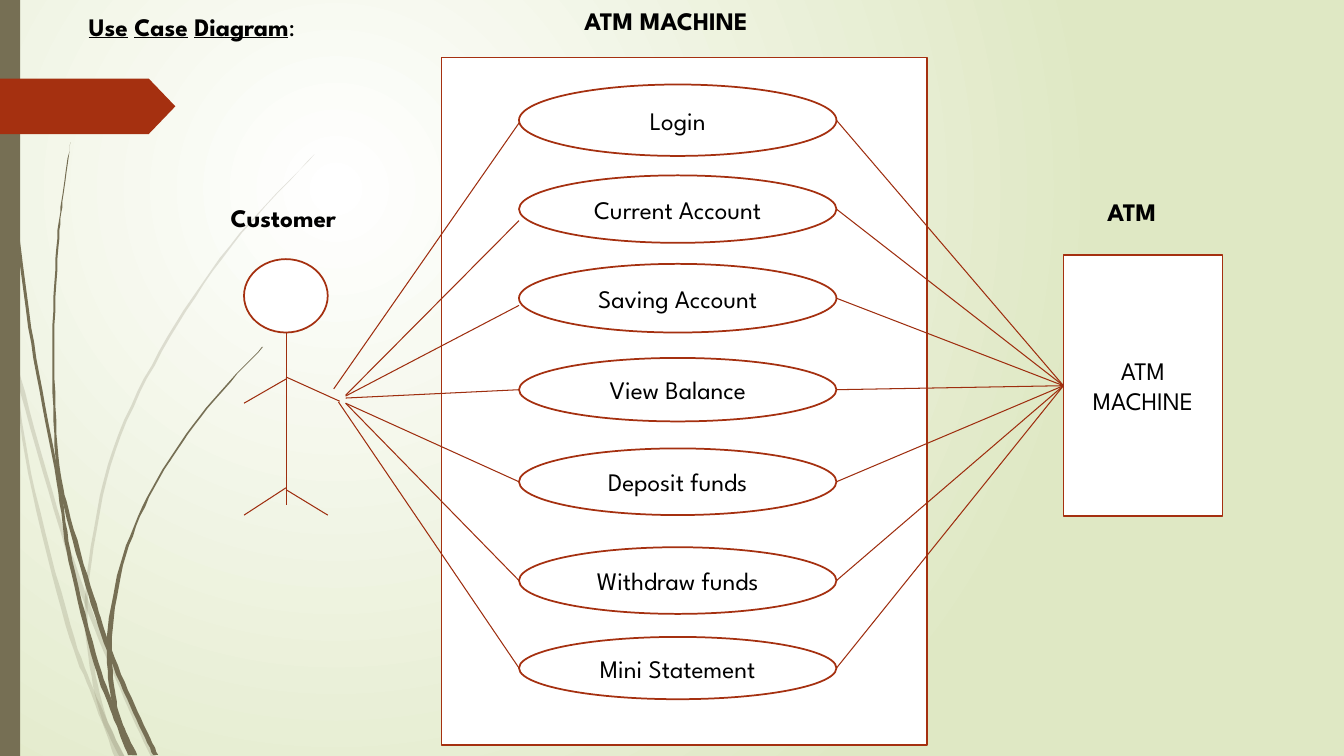
"""Build the use case diagram slide of a cash machine."""
from lxml import etree
from pptx import Presentation, util as u
from pptx.dml.color import RGBColor
from pptx.enum import shapes, text
from pptx.oxml.ns import qn

WHITE, BLACK = RGBColor(255, 255, 255), RGBColor(0, 0, 0)
GREEN, OLIVE = RGBColor(0xDF, 0xE8, 0xC4), RGBColor(0x76, 0x6F, 0x54)
RUST, WIRE = RGBColor(0xA5, 0x30, 0x10), RGBColor(0x9E, 0x2E, 0x0F)
FONT = {"name": "League Spartan", "size": u.Pt(18), "bold": False}
FRAME = {"word_wrap": True, "vertical_anchor": text.MSO_ANCHOR.TOP,
         "auto_size": text.MSO_AUTO_SIZE.NONE}
KIND = shapes.MSO_SHAPE
LEFT, MID = text.PP_ALIGN.LEFT, text.PP_ALIGN.CENTER

TITLE = [("Use", True), (" ", False), ("Case", True), (" ", False),
         ("Diagram", True), (":", False)]
LABELS = [("ATM MACHINE", (14.48, 0, 6.12, 1.04)),
          ("Customer", (5.56, 4.98, 4.34, 1.02)),
          ("ATM", (27.66, 4.83, 2.79, 1.02))]
# name, top, height, hand x, hand y, drop of the left end below the middle
CASES = [("Login", 2.13, 1.8, 8.41, 9.8, 0.07),
         ("Current Account", 4.42, 1.7, 8.71, 9.96, 0.29),
         ("Saving Account", 6.65, 1.73, 8.71, 9.98, 0.18),
         ("View Balance", 9.02, 1.6, 8.71, 10.03, 0),
         ("Deposit funds", 11.3, 1.68, 8.71, 10.16, 0),
         ("Withdraw funds", 13.79, 1.68, 8.71, 10.16, 0),
         ("Mini Statement", 16.05, 1.57, 8.53, 10.13, 0)]
CASE_X, CASE_W = 13.08, 8
SYSTEM = (11.13, 1.45, 12.24, 17.32)
ATM = (26.8, 6.43, 4.01, 6.58)
HEAD = (6.15, 6.53, 2.11, 1.85)
LIMBS = [(7.21, 8.38, 7.21, 12.73), (7.21, 9.5, 8.56, 10.11),
         (7.21, 9.55, 6.15, 10.16), (7.21, 12.34, 8.26, 12.98),
         (7.21, 12.29, 6.15, 12.98)]
PALE = [
    [(290, -2, 2), (347, 10, 12), (470, 28, 31), (620, 65, 70),
     (692, 92, 96), (751, 114, 124)],
    [(345, 14, 14), (376, 17, 21), (521, 58, 62), (599, 84, 89),
     (693, 123, 127), (751, 150, 155)],
    [(153, 312, 312), (244, 228, 230), (348, 158, 161), (461, 107, 110),
     (584, 85, 88), (646, 87, 91), (710, 100, 105), (751, 119, 124)]]
DARK = [
    [(0, 3, 4), (110, 7, 8), (233, 17, 19), (355, 33, 36), (477, 56, 59),
     (557, 68, 72), (658, 93, 98), (708, 111, 117), (749, 127, 136)],
    [(141, 70, 70), (193, 62, 63), (245, 56, 58), (349, 52, 54),
     (453, 55, 58), (505, 64, 68), (591, 88, 93), (645, 106, 111),
     (707, 132, 137), (749, 152, 157)],
    [(344, 260, 261), (405, 204, 206), (475, 156, 158), (551, 122, 125),
     (632, 106, 111), (691, 110, 115), (719, 117, 122), (749, 131, 136)]]


def box(spot):
    return [u.Cm(v) for v in spot]


def style(run, **more):
    for key, val in {**FONT, **more}.items():
        setattr(run.font, key, val)
    run.font.color.rgb = BLACK


def shape(kind, spot, fill, edge=None, name=""):
    item = slide.shapes.add_shape(kind, *box(spot))
    paint(item, fill)
    if edge:
        item.line.color.rgb, item.line.width = edge, u.Pt(1.25)
    if name:
        item.text_frame.vertical_anchor = text.MSO_ANCHOR.MIDDLE
        write(item.text_frame, [(name, {})], MID)
    return item


def paint(item, fill):
    item.shadow.inherit = False
    item.fill.solid()
    item.fill.fore_color.rgb = fill
    item.line.fill.background()


def write(frame, runs, align):
    para = frame.paragraphs[0]
    para.alignment = align
    for words, more in runs:
        run = para.add_run()
        run.text = words
        style(run, **more)


def label(item, spot, runs):
    item.left, item.top, item.width, item.height = box(spot)
    for key, val in FRAME.items():
        setattr(item.text_frame, key, val)
    write(item.text_frame, runs, LEFT)


def wire(*ends):
    line = slide.shapes.add_connector(shapes.MSO_CONNECTOR.STRAIGHT, *box(ends))
    line.line.color.rgb, line.line.width = WIRE, u.Pt(0.75)
    etree.SubElement(line.element.spPr, qn("a:effectLst"))


def smooth(rows, steps=8):
    pts = [rows[0], *rows, rows[-1]]
    for a, b, c, d in zip(pts, pts[1:], pts[2:], pts[3:]):
        for t in (n / steps for n in range(steps)):
            yield [(2 * q + (r - p) * t + (2 * p - 5 * q + 4 * r - s) * t ** 2
                    + (3 * q - p - 3 * r + s) * t ** 3) / 2
                   for p, q, r, s in zip(a, b, c, d)]
    yield rows[-1]


def blade(rows, alpha=None):
    rows = list(smooth(rows))
    edge = [(x, y) for y, x, _ in rows] + [(x, y) for y, _, x in rows[::-1]]
    pen = slide.shapes.build_freeform(*edge[0], scale=u.Cm(2.54) / 100)
    pen.add_line_segments(edge[1:], close=True)
    item = pen.convert_to_shape()
    paint(item, OLIVE)
    if alpha:
        tint = item.element.spPr.find(".//" + qn("a:srgbClr"))
        etree.SubElement(tint, qn("a:alpha"), val=str(alpha * 1000))


deck = Presentation()
deck.slide_width, deck.slide_height = u.Cm(33.87), u.Cm(19.05)
slide = deck.slides.add_slide(deck.slide_layouts[5])

back = slide.background.fill
back.gradient()
for stop, tone in zip(back.gradient_stops, (WHITE, GREEN)):
    stop.color.rgb = tone
lin = next(slide.element.iter(qn("a:lin")))
ring = etree.Element(qn("a:path"), {"path": "circle"})
etree.SubElement(ring, qn("a:fillToRect"), l="50000", t="50000",
                 r="100000", b="100000")
lin.getparent().replace(lin, ring)

for rows in PALE:
    blade(rows, 20)
for rows in DARK:
    blade(rows)
shape(KIND.RECTANGLE, (0, 0, 0.51, 19.05), OLIVE)
shape(KIND.PENTAGON, (0, 1.98, 4.42, 1.4), RUST).adjustments[0] = 0.48

label(slide.shapes.title, (1.98, 0.15, 7.57, 1.02),
      [(words, {"bold": on, "underline": on}) for words, on in TITLE])
shape(KIND.RECTANGLE, SYSTEM, WHITE, RUST)
shape(KIND.RECTANGLE, ATM, WHITE, RUST, "ATM MACHINE")
shape(KIND.OVAL, HEAD, WHITE, RUST)
for limb in LIMBS:
    wire(*limb)
hub = ATM[1] + ATM[3] / 2
for name, top, high, x, y, drop in CASES:
    shape(KIND.OVAL, (CASE_X, top, CASE_W, high), WHITE, RUST, name)
    mid = top + high / 2
    wire(x, y, CASE_X, mid + drop)
    wire(ATM[0], hub, CASE_X + CASE_W, mid)
for name, spot in LABELS:
    label(slide.shapes.add_textbox(*box(spot)), spot, [(name, {"bold": True})])

deck.save("out.pptx")
